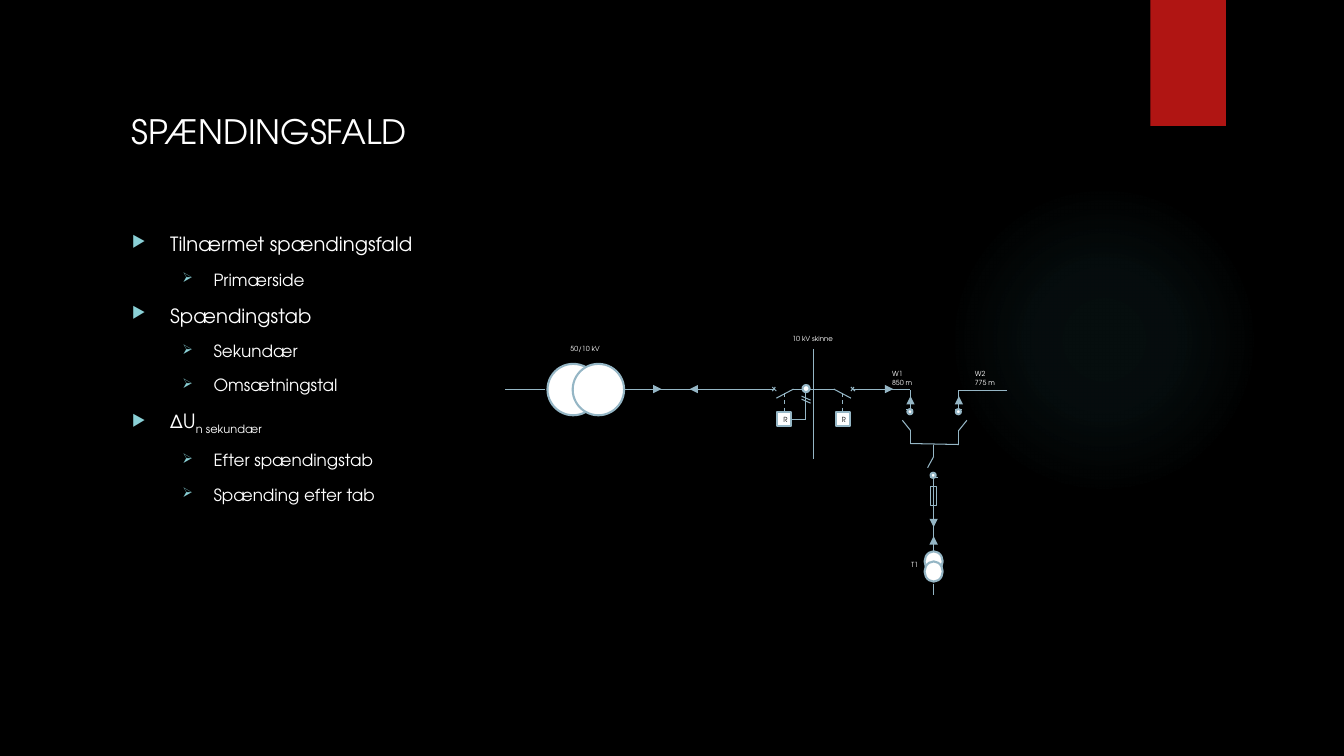
import pptx
import pptx.dml.color
import pptx.enum.dml
import pptx.enum.shapes
import pptx.oxml
import pptx.oxml.ns
import pptx.util

PX = 9144  # 100 px to the inch
FONT = "TeX Gyre Adventor"
BLACK = pptx.dml.color.RGBColor(0x00, 0x00, 0x00)
WHITE = pptx.dml.color.RGBColor(0xFF, 0xFF, 0xFF)
RED = pptx.dml.color.RGBColor(0xB0, 0x15, 0x13)
STEEL = pptx.dml.color.RGBColor(0x95, 0xB6, 0xC5)
AQUA = pptx.dml.color.RGBColor(0x8A, 0xD0, 0xD6)
GLOW = pptx.dml.color.RGBColor(0x50, 0xB9, 0xC1)
RECT = pptx.enum.shapes.MSO_SHAPE.RECTANGLE
OVAL = pptx.enum.shapes.MSO_SHAPE.OVAL

# level, runs of (text, is subscript)
OUTLINE = [
    (0, [("Tilnærmet spændingsfald", False)]),
    (1, [("Primærside", False)]),
    (0, [("Spændingstab", False)]),
    (1, [("Sekundær", False)]),
    (1, [("Omsætningstal", False)]),
    (0, [("∆U", False), ("n sekundær", True)]),
    (1, [("Efter spændingstab", False)]),
    (1, [("Spænding efter tab", False)]),
]
# size, left margin, hanging indent, bullet
LEVELS = [(14, 38, 38, "▶"), (12, 81, 31, "➢")]


def px(*lengths):
    return [n * PX for n in lengths]


def xml(tag, body):
    ns = pptx.oxml.ns.nsdecls("a")
    return pptx.oxml.parse_xml(f"<a:{tag} {ns} {body}")


def add_shape(s, kind, box, fill=None, line_width=None):
    sp = s.shapes.add_shape(kind, *px(*box))
    sp.shadow.inherit = False
    if fill is None:
        sp.fill.background()
    else:
        sp.fill.solid()
        sp.fill.fore_color.rgb = fill
    if line_width is None:
        sp.line.fill.background()
    else:
        sp.line.color.rgb = STEEL
        sp.line.width = pptx.util.Pt(line_width)
    return sp


def add_symbol(s, kind, *box):
    return add_shape(s, kind, box, WHITE, 1.5)


def add_line(s, x1, y1, x2, y2, arrow=False, dash=False):
    line = s.shapes.add_connector(
        pptx.enum.shapes.MSO_CONNECTOR.STRAIGHT, *px(x1, y1, x2, y2))
    line.line.color.rgb = STEEL
    line.line.width = pptx.util.Pt(0.75)
    if dash:
        line.line.dash_style = pptx.enum.dml.MSO_LINE.DASH
    if arrow:
        line.line._get_or_add_ln().append(xml("tailEnd", 'type="triangle"/>'))
    line._element.spPr.append(xml("effectLst", "/>"))
    return line


def add_text_frame(s, *box):
    tf = s.shapes.add_textbox(*px(*box)).text_frame
    tf.word_wrap = True
    return tf


def add_run(p, text, size, color=WHITE):
    r = p.add_run()
    r.text = text
    r.font.size = pptx.util.Pt(size)
    r.font.name = FONT
    r.font.color.rgb = color
    return r


def add_label(s, box, *lines, color=WHITE):
    p = add_text_frame(s, *box).paragraphs[0]
    for i, text in enumerate(lines):
        if i:
            p.add_line_break()
        add_run(p, text, 5, color)


def add_glow(s):
    """Faint radial light behind the content."""
    sp = add_shape(s, OVAL, (941, 183, 308, 308))
    stops = "".join(
        f'<a:gs pos="{pos}000"><a:srgbClr val="{GLOW}">'
        f'<a:alpha val="{alpha}000"/></a:srgbClr></a:gs>'
        for pos, alpha in ((0, 7), (36, 6), (69, 0)))
    grad = xml("gradFill", f'><a:gsLst>{stops}</a:gsLst><a:path path="circle">'
               '<a:fillToRect l="50000" t="50000" r="50000" b="50000"/>'
               '</a:path></a:gradFill>')
    spPr = sp._element.spPr
    spPr.replace(spPr.find(pptx.oxml.ns.qn("a:noFill")), grad)


def add_title(s):
    p = add_text_frame(s, 121, 110, 1050, 115).paragraphs[0]
    p.line_spacing = 0.9
    add_run(p, "SPÆNDINGSFALD", 24)


def add_outline(s):
    tf = add_text_frame(s, 121, 225, 978, 459)
    for i, (level, runs) in enumerate(OUTLINE):
        size, margin, hang, bullet = LEVELS[level]
        p = tf.paragraphs[0] if i == 0 else tf.add_paragraph()
        p.level = level
        p.space_before = pptx.util.Pt(10 if i else 0)
        pPr = p._p.get_or_add_pPr()
        pPr.set("marL", str(margin * PX))
        pPr.set("indent", str(-hang * PX))
        pPr.append(xml("buClr", f'><a:srgbClr val="{AQUA}"/></a:buClr>'))
        pPr.append(xml("buSzPct", 'val="80000"/>'))
        pPr.append(xml("buChar", f'char="{bullet}"/>'))
        for text, subscript in runs:
            r = add_run(p, text, size)
            if subscript:
                r._r.get_or_add_rPr().set("baseline", "-25000")


def add_breaker_cross(s, x):
    add_line(s, x + 2, 388, x - 2, 384)
    add_line(s, x - 2, 388, x + 1, 384)


def add_relay(s, x):
    box = add_symbol(s, RECT, x - 7, 409, 14, 14)
    trip = add_line(s, x, 390, x, 409, dash=True)
    trip.end_connect(box, 0)
    add_label(s, (x - 11, 407, 32, 19), "R", color=BLACK)
    return box


def add_supply(s):
    """50/10 kV transformer and its cable to the busbar."""
    for x in (543, 568):
        add_symbol(s, OVAL, x, 361, 51, 51)
    add_line(s, 501, 386, 541, 386)
    add_line(s, 619, 386, 769, 386)
    add_line(s, 635, 386, 656, 386, arrow=True)
    add_line(s, 701, 386, 684, 386, arrow=True)
    add_label(s, (556, 337, 55, 19), "50/10 kV")


def add_busbar(s):
    """10 kV busbar with a breaker and relay on each side."""
    add_breaker_cross(s, 768)
    add_line(s, 770, 395, 787, 386)
    add_line(s, 787, 386, 827, 386)
    add_line(s, 827, 386, 844, 395)
    add_breaker_cross(s, 846)
    add_line(s, 807, 346, 807, 455)
    add_label(s, (776, 327, 64, 19), "10 kV skinne")
    relay = add_relay(s, 778)
    add_relay(s, 836)
    add_symbol(s, OVAL, 796, 382, 7, 7)
    add_line(s, 799, 390, 799, 416)
    add_line(s, 785, 416, 799, 416).begin_connect(relay, 3)
    for y in (393, 396):
        add_line(s, 795, y, 804, y + 4)


def add_feeder(s, x, side, label_x, *label):
    """Cable end and open switch; side is -1 for left, 1 for right."""
    add_line(s, x, 387, x, 406)
    add_line(s, x, 406, x, 393, arrow=True)
    add_symbol(s, OVAL, x - 3, 406, 5, 5)
    add_line(s, x - 4, 406, x + 3, 406)
    add_line(s, x, 427, x + 8 * side, 417)
    add_line(s, x, 427, x, 440)
    add_label(s, (label_x, 362, 64, 27), *label)


def add_ring(s):
    add_line(s, 847, 386, 903, 386)
    add_line(s, 866, 386, 886, 386, arrow=True)
    add_line(s, 951, 387, 999, 387)
    add_feeder(s, 903, -1, 875, "W1", "850 m")
    add_feeder(s, 951, 1, 957, "W2", "775 m")
    add_line(s, 903, 440, 951, 441)


def add_station(s):
    """Switch, fuse and transformer T1 on the vertical branch."""
    x = 926
    add_line(s, x, 441, x, 453)
    add_line(s, x, 453, x - 6, 464)
    add_symbol(s, OVAL, x - 3, 469, 5, 5)
    add_line(s, x - 4, 474, x + 4, 474)
    add_line(s, x, 474, x, 544)
    add_shape(s, RECT, (x - 3, 483, 6, 18), line_width=0.5)
    add_line(s, x, 504, x, 523, arrow=True)
    add_line(s, x, 547, x, 532, arrow=True)
    for y in (547, 557):
        add_symbol(s, OVAL, x - 9, y, 18, 20)
    add_line(s, x, 579, x, 590)
    add_label(s, (894, 551, 32, 19), "T1")


def main():
    prs = pptx.Presentation()
    prs.slide_width, prs.slide_height = px(1333, 750)
    s = prs.slides.add_slide(prs.slide_layouts[6])
    s.background.fill.solid()
    s.background.fill.fore_color.rgb = BLACK
    add_glow(s)
    add_shape(s, RECT, (1141, 0, 75, 125), RED)
    add_outline(s)
    add_title(s)
    add_supply(s)
    add_busbar(s)
    add_ring(s)
    add_station(s)
    prs.save("out.pptx")


if __name__ == "__main__":
    main()
